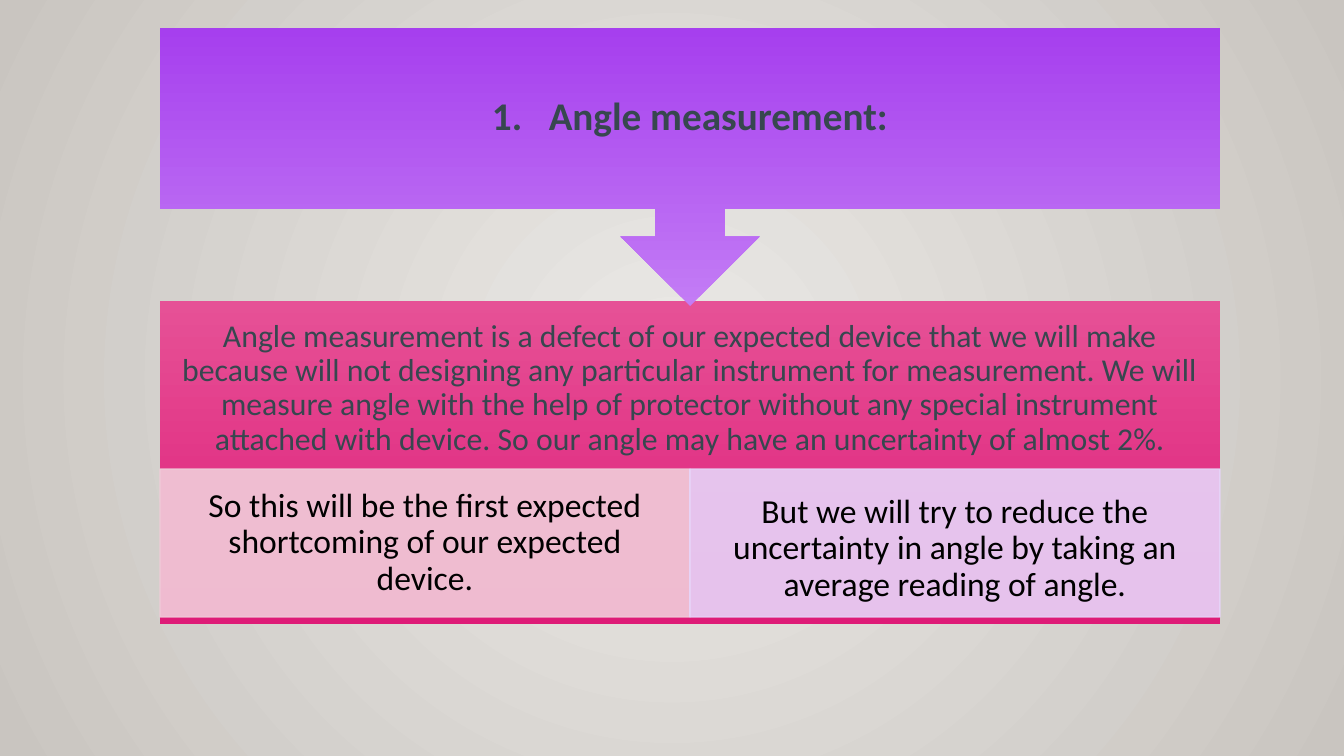
from pptx import Presentation
from pptx.dml.color import RGBColor
from pptx.enum.shapes import MSO_SHAPE
from pptx.enum.text import MSO_ANCHOR, MSO_AUTO_SIZE, PP_ALIGN
from pptx.oxml import parse_xml
from pptx.oxml.ns import nsdecls, qn
from pptx.util import Emu, Pt

SCALE = 914400 / 134.4
LEFT, HALF = 160, 530
WIDTH = 2 * HALF
BODY = ("Angle measurement is a defect of our expected device that we will make "
        "because will not designing any particular instrument for measurement. "
        "We will measure angle with the help of protector without any special "
        "instrument attached with device. So our angle may have an uncertainty "
        "of almost 2%.")
# text, fill, text box height
OUTCOMES = [
    ("So this will be the first expected shortcoming of our expected device.",
     "F1CDDA", 148),
    ("But we will try to reduce the uncertainty in angle by taking an average "
     "reading of angle.", "E7D4F9", 160),
]


def px(n):
    return Emu(round(n * SCALE))


def rgb(code):
    return RGBColor.from_string(code)


def gradient(fill, start, end):
    """Two-stop gradient running from top to bottom."""
    fill.gradient()
    fill.gradient_angle = 270
    for stop, code, pos in zip(fill.gradient_stops, (start, end), (0, 1)):
        stop.color.rgb = rgb(code)
        stop.position = pos


def set_background(s):
    fill = s.background.fill
    gradient(fill, "EBE9E6", "C9C5C0")
    lin = next(s.background._cSld.iter(qn("a:lin")))
    lin.getparent().replace(lin, parse_xml(
        f'<a:path {nsdecls("a")} path="circle">'
        '<a:fillToRect l="50000" t="50000" r="50000" b="50000"/></a:path>'))


def add_block(s, kind, x, y, w, h):
    sp = s.shapes.add_shape(kind, px(x), px(y), px(w), px(h))
    sp.shadow.inherit = False
    sp.line.fill.background()
    return sp


def add_tint(s, x, y, w, h, code):
    """Rectangle with matching fill and line at 90% opacity."""
    sp = add_block(s, MSO_SHAPE.RECTANGLE, x, y, w, h)
    for fill in (sp.fill, sp.line.fill):
        fill.solid()
        fill.fore_color.rgb = rgb(code)
    sp.line.width = Pt(0.75)
    for clr in sp._element.spPr.iter(qn("a:srgbClr")):
        clr.append(parse_xml(f'<a:alpha {nsdecls("a")} val="90000"/>'))


def set_text(sp, text, size, color, margins, bold=False):
    tf = sp.text_frame
    mx, my = map(px, margins)
    frame = dict(word_wrap=True, auto_size=MSO_AUTO_SIZE.NONE,
                 vertical_anchor=MSO_ANCHOR.MIDDLE, margin_left=mx,
                 margin_right=mx, margin_top=my, margin_bottom=my)
    p = tf.paragraphs[0]
    r = p.add_run()
    r.text = text
    para = dict(alignment=PP_ALIGN.CENTER, line_spacing=0.9,
                space_before=Pt(0), space_after=Pt(0))
    font = dict(name="Calibri", size=Pt(size), bold=bold)
    for obj, values in ((tf, frame), (p, para), (r.font, font)):
        for key, value in values.items():
            setattr(obj, key, value)
    r.font.color.rgb = rgb(color)


def add_label(s, x, y, w, h, *args):
    set_text(s.shapes.add_textbox(px(x), px(y), px(w), px(h)), *args)


def add_title(s, text, x, y, w, h):
    sp = s.shapes.title
    sp.left, sp.top, sp.width, sp.height = map(px, (x, y, w, h))
    set_text(sp, text, 21, "37474F", (21, 21), bold=True)
    s.shapes._spTree.append(sp._element)  # in front of the callout


def main():
    prs = Presentation()
    prs.slide_width, prs.slide_height = px(1344), px(756)
    s = prs.slides.add_slide(prs.slide_layouts[5])
    set_background(s)

    # Explanation panel
    panel = add_block(s, MSO_SHAPE.RECTANGLE, LEFT, 301, WIDTH, 323)
    gradient(panel.fill, "E65196", "DE1B77")
    add_label(s, LEFT, 301, WIDTH, 175, BODY, 17, "37474F", (17, 17))

    # Two outcomes side by side
    for i, (text, code, height) in enumerate(OUTCOMES):
        x = LEFT + i * HALF
        add_tint(s, x, 469, HALF, 148, code)
        add_label(s, x, 469, HALF, height, text, 18, "000000", (23, 4))

    # Heading callout pointing down to the panel
    callout = add_block(s, MSO_SHAPE.UP_ARROW_CALLOUT, LEFT, 28, WIDTH, 278)
    callout.rotation = 180
    for i, value in enumerate((0.25, 0.25, 0.25, 0.65)):
        callout.adjustments[i] = value
    gradient(callout.fill, "C37CF5", "A63FEE")
    add_title(s, "1.   Angle measurement:", LEFT, 28, WIDTH, 180)

    prs.save("out.pptx")


if __name__ == "__main__":
    main()
